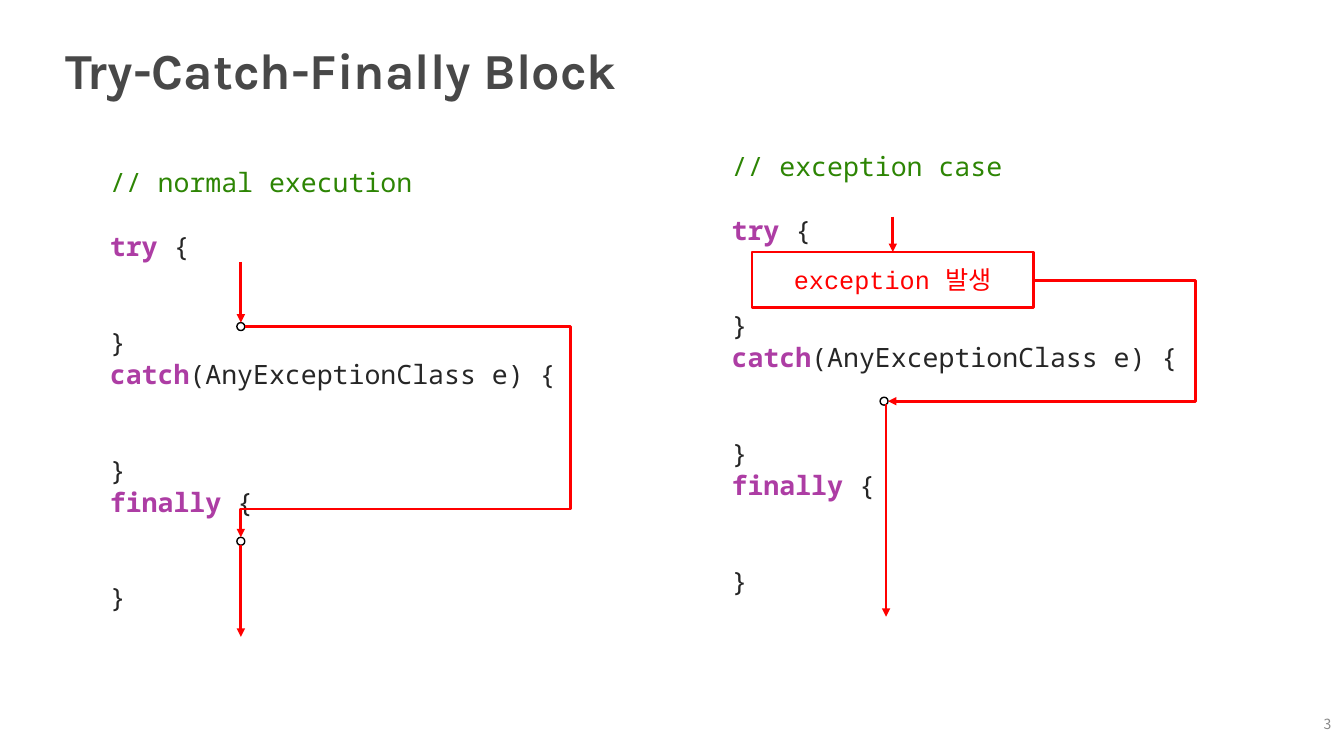
from lxml import etree
from pptx import Presentation
from pptx import util as u
from pptx.dml.color import RGBColor
from pptx.enum import shapes, text
from pptx.oxml.ns import qn

# Content: code lines as (blank lines above, [(text, colour), ...])
TITLE = "Try-Catch-Finally Block"
BODY = [
    (1, [("try", "key"), (" {", "code")]),
    (2, [("}", "code")]),
    (0, [("catch", "key"), ("(AnyExceptionClass e) {", "code")]),
    (2, [("}", "code")]),
    (0, [("finally", "key"), (" {", "code")]),
    (2, [("}", "code")]),
]
CASES = [
    ("// normal execution", (2.64, 2.67, 13.26, 14.3)),
    ("// exception case", (18.31, 3.05, 13.26, 12.7)),
]
THROW = "exception 발생"
COLORS = {"title": "484848", "note": "2D8504", "key": "AD3DA4",
          "code": "262626", "flow": "FF0000", "dot": "000000",
          "page": "888888"}
PITCH = 22.8  # points from one code line to the next

# Flow, in centimetres
THROW_BOX = (18.95, 6.35, 7.09, 1.4)
DOTS = [(6.07, 8.23), (6.07, 13.64), (22.28, 10.11)]
DOT = 0.2
DROPS = [(6.07, 6.6, 8.13), (6.07, 13.74, 16.05),
         (22.5, 5.46, 6.35), (22.33, 10.19, 15.54)]
# start, end, x of the first turn, y of the second turn if any
BENDS = [((6.17, 8.23), (6.07, 13.54), 14.38, 12.83),
         ((26.04, 7.06), (22.38, 10.11), 30.12, None)]

prs = Presentation()
prs.slide_width, prs.slide_height = u.Cm(33.87), u.Cm(19.05)
slide = prs.slides.add_slide(prs.slide_layouts[6])
parts = slide.shapes


def rgb(name):
    return RGBColor.from_string(COLORS[name])


def put(frame, lines, size, font, bold=(), align="LEFT", pitch=None, wrap=True):
    """Fill a text frame; bold lists the colours set in bold."""
    frame.word_wrap = wrap
    frame.vertical_anchor = text.MSO_ANCHOR.MIDDLE
    frame.margin_left = frame.margin_right = u.Cm(0.13)
    frame.margin_top = frame.margin_bottom = u.Cm(0.13)
    for i, (gap, runs) in enumerate(lines):
        para = frame.add_paragraph() if i else frame.paragraphs[0]
        para.alignment = getattr(text.PP_ALIGN, align)
        if pitch:
            para.line_spacing = u.Pt(pitch)
            para.space_before = u.Pt(gap * pitch)
        for words, color in runs:
            run = para.add_run()
            run.text = words
            run.font.size, run.font.name = u.Pt(size), font
            run.font.bold = color in bold
            run.font.color.rgb = rgb(color)
            east = etree.SubElement(run.font._element, qn("a:ea"))
            east.set("typeface", "Noto Sans CJK KR")


def label(box, *args, **style):
    put(parts.add_textbox(*map(u.Cm, box)).text_frame, *args, **style)


def outline(kind, box, color, width):
    shape = parts.add_shape(kind, *map(u.Cm, box))
    shape.shadow.inherit = False
    shape.fill.background()
    shape.line.color.rgb = rgb(color)
    shape.line.width = u.Pt(width)
    return shape


def arrow(start, end, kind="STRAIGHT", preset=None, adjust=()):
    link = parts.add_connector(getattr(shapes.MSO_CONNECTOR, kind),
                               *map(u.Cm, start + end))
    link.line.color.rgb = rgb("flow")
    link.line.width = u.Pt(2)
    props = link.element.spPr
    tip = etree.SubElement(props.find(qn("a:ln")), qn("a:tailEnd"))
    tip.set("type", "triangle")
    etree.SubElement(props, qn("a:effectLst"))
    if preset:
        geom = props.find(qn("a:prstGeom"))
        geom.set("prst", preset)
        guides = geom.find(qn("a:avLst"))
        if guides is None:
            guides = etree.SubElement(geom, qn("a:avLst"))
        for n, part in enumerate(adjust, 1):
            guide = etree.SubElement(guides, qn("a:gd"))
            guide.set("name", f"adj{n}" if len(adjust) > 1 else "adj1")
            guide.set("fmla", f"val {round(part * 100000)}")


# Title, page number and the two code blocks
label((1.52, 0.74, 30.68, 2.01), [(0, [(TITLE, "title")])], 36, "Karla",
      bold=("title",))
label((33.17, 17.91, 0.51, 0.66), [(0, [("3", "page")])], 10,
      "Noto Sans CJK KR", align="RIGHT", wrap=False)
for note, box in CASES:
    label(box, [(0, [(note, "note")])] + BODY, 19, "Noto Sans Mono",
          bold=("key",), pitch=PITCH)

# Thrown exception
throw = outline(shapes.MSO_SHAPE.RECTANGLE, THROW_BOX, "flow", 2)
put(throw.text_frame, [(0, [(THROW, "flow")])], 18, "Courier New",
    align="CENTER")

# Stops and arrows
for x, y in DOTS:
    outline(shapes.MSO_SHAPE.OVAL, (x - DOT / 2, y - DOT / 2, DOT, DOT),
            "dot", 1)
for x, top, low in DROPS:
    arrow((x, top), (x, low))
for start, end, side, level in BENDS:
    turns = [(side - start[0]) / (end[0] - start[0])]
    if level:
        turns.append((level - start[1]) / (end[1] - start[1]))
    arrow(start, end, "ELBOW", f"bentConnector{len(turns) + 2}", turns)

prs.save("out.pptx")
